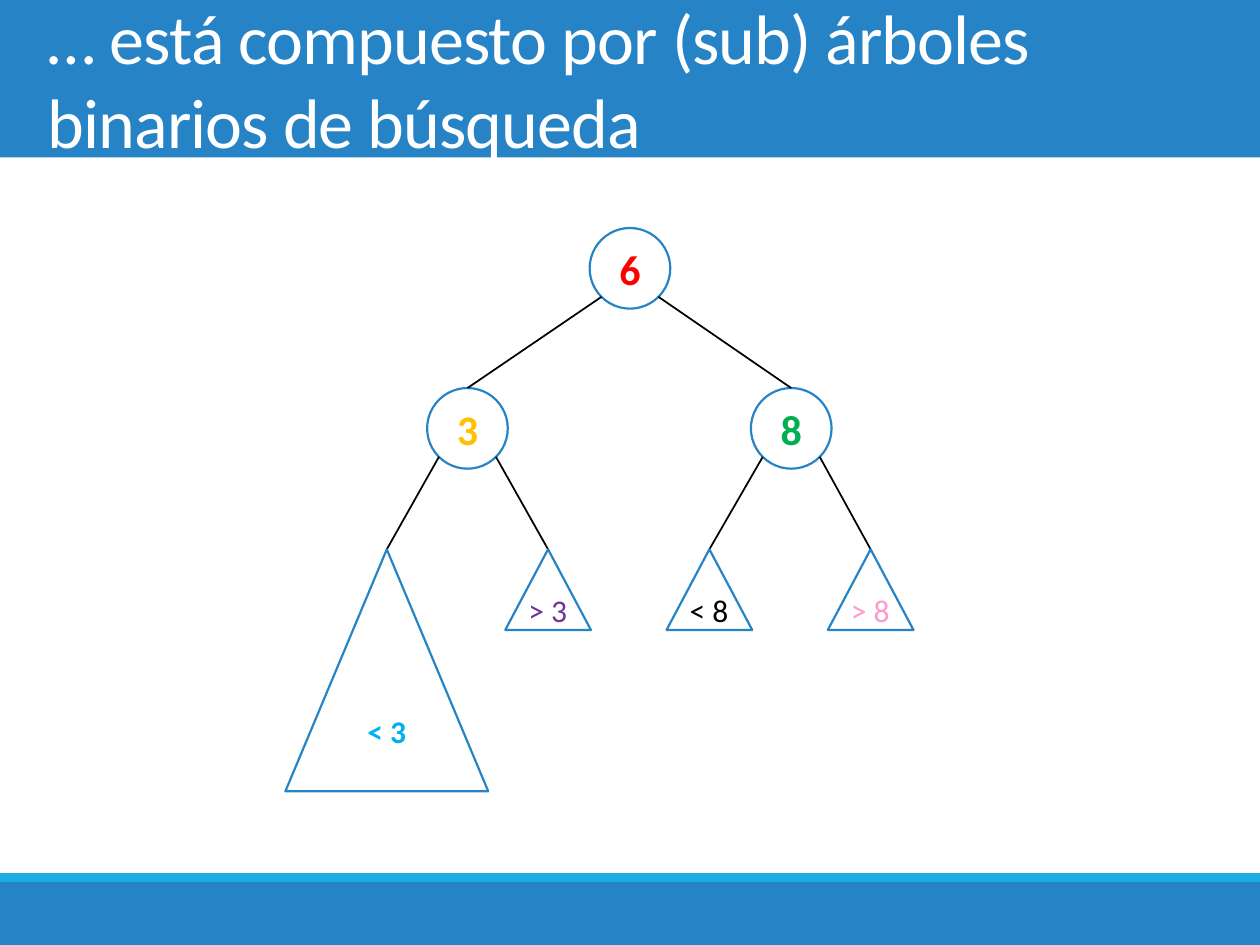
"""Build a slide showing a binary search tree made of smaller search trees."""
from dataclasses import dataclass
from math import sqrt

from lxml import etree
from pptx import Presentation
from pptx import util as u
from pptx.dml.color import RGBColor
from pptx.enum import shapes, text
from pptx.oxml.ns import qn


@dataclass(frozen=True)
class Theme:
    font: str = "Calibri"
    blue: str = "2683C6"
    cyan: str = "1CADE4"
    white: str = "FFFFFF"
    black: str = "000000"
    title: int = 40
    key: int = 24
    label: int = 18
    outline: float = 1.25
    edge: float = 1


@dataclass(frozen=True)
class Band:
    y: float
    h: float
    color: str


@dataclass(frozen=True)
class Key:
    value: str
    color: str
    x: float
    y: float


@dataclass(frozen=True)
class Subtree:
    label: str
    color: str
    x: float
    w: float = 0.68
    h: float = 0.64
    inside: bool = False


T = Theme()
DIAMETER = 0.64
LEAF_TOP = 4.36
BANDS = [Band(0, 1.25, T.blue), Band(7, 0.5, T.blue), Band(6.93, 0.07, T.cyan)]
ROOT = Key("6", "FF0000", 5, 1.81)
LEFT = Key("3", "FFC000", 3.71, 3.08)
RIGHT = Key("8", "00B050", 6.28, 3.08)
LEAVES = [
    Subtree("< 3", "00B0F0", 3.07, 1.61, 1.92, True),
    Subtree("> 3", "7030A0", 4.35),
    Subtree("< 8", T.black, 5.63),
    Subtree("> 8", "FF99CC", 6.91),
]


def rgb(color: str) -> RGBColor:
    """Convert a hex colour."""
    return RGBColor.from_string(color)


def add_text(tf, value: str, size: float, color: str, bold: bool = False):
    """Add one run to the first paragraph of a text frame."""
    r = tf.paragraphs[0].add_run()
    r.text = value
    r.font.name, r.font.size, r.font.bold = T.font, u.Pt(size), bold
    r.font.color.rgb = rgb(color)
    return r


def add_shape(s, kind, x: float, y: float, w: float, h: float, fill: str, line: str = ""):
    """Draw a flat preset shape, outlined when a line colour is given."""
    sp = s.shapes.add_shape(kind, u.Inches(x), u.Inches(y), u.Inches(w), u.Inches(h))
    sp.shadow.inherit = False
    sp.fill.solid()
    sp.fill.fore_color.rgb = rgb(fill)
    if line:
        sp.line.color.rgb = rgb(line)
        sp.line.width = u.Pt(T.outline)
    else:
        sp.line.fill.background()
    return sp


def center_text(sp, value: str, size: float, color: str) -> None:
    """Write bold text in the middle of a shape."""
    tf = sp.text_frame
    tf.vertical_anchor = text.MSO_ANCHOR.MIDDLE
    tf.paragraphs[0].alignment = text.PP_ALIGN.CENTER
    add_text(tf, value, size, color, True)


def add_title(s, value: str) -> None:
    """Write the title over the top band."""
    sp = s.shapes.add_textbox(u.Inches(0.28), 0, u.Inches(9.45), u.Inches(1.25))
    tf = sp.text_frame
    tf.word_wrap = True
    tf.vertical_anchor = text.MSO_ANCHOR.MIDDLE
    r = add_text(tf, value, T.title, T.white)
    r.font._element.set("spc", "-50")


def add_key(s, key: Key) -> None:
    """Draw a tree node with its key."""
    sp = add_shape(s, shapes.MSO_SHAPE.OVAL, key.x - DIAMETER / 2, key.y,
                   DIAMETER, DIAMETER, T.white, T.blue)
    center_text(sp, key.value, T.key, key.color)


def add_edge(s, parent: Key, x: float, y: float) -> None:
    """Join the lower side of a node to the top of its child."""
    reach = DIAMETER / 2 / sqrt(2)
    side = reach if x > parent.x else -reach
    c = s.shapes.add_connector(
        shapes.MSO_CONNECTOR.STRAIGHT, u.Inches(parent.x + side),
        u.Inches(parent.y + DIAMETER / 2 + reach), u.Inches(x), u.Inches(y))
    c.line.color.rgb = rgb(T.black)
    c.line.width = u.Pt(T.edge)
    etree.SubElement(c._element.spPr, qn("a:effectLst"))


def add_subtree(s, leaf: Subtree) -> None:
    """Draw a subtree triangle with its range label."""
    sp = add_shape(s, shapes.MSO_SHAPE.ISOSCELES_TRIANGLE, leaf.x - leaf.w / 2,
                   LEAF_TOP, leaf.w, leaf.h, T.white, T.blue)
    if leaf.inside:
        center_text(sp, leaf.label, T.label, leaf.color)
        return
    w, h = 0.51, 0.4
    sp = s.shapes.add_textbox(u.Inches(leaf.x - w / 2), u.Inches(LEAF_TOP + 0.28),
                              u.Inches(w), u.Inches(h))
    tf = sp.text_frame
    tf.word_wrap = False
    tf.auto_size = text.MSO_AUTO_SIZE.SHAPE_TO_FIT_TEXT
    add_text(tf, leaf.label, T.label, leaf.color)


def main() -> None:
    """Assemble and save the slide."""
    prs = Presentation()
    prs.slide_width, prs.slide_height = u.Inches(10), u.Inches(7.5)
    s = prs.slides.add_slide(prs.slide_layouts[6])
    for band in BANDS:
        add_shape(s, shapes.MSO_SHAPE.RECTANGLE, 0, band.y, 10, band.h, band.color)
    add_title(s, "… está compuesto por (sub) árboles binarios de búsqueda")
    for key in (ROOT, LEFT, RIGHT):
        add_key(s, key)
    for child in (LEFT, RIGHT):
        add_edge(s, ROOT, child.x, child.y)
    for parent, leaf in zip((LEFT, LEFT, RIGHT, RIGHT), LEAVES):
        add_edge(s, parent, leaf.x, LEAF_TOP)
        add_subtree(s, leaf)
    prs.save("out.pptx")


main()
